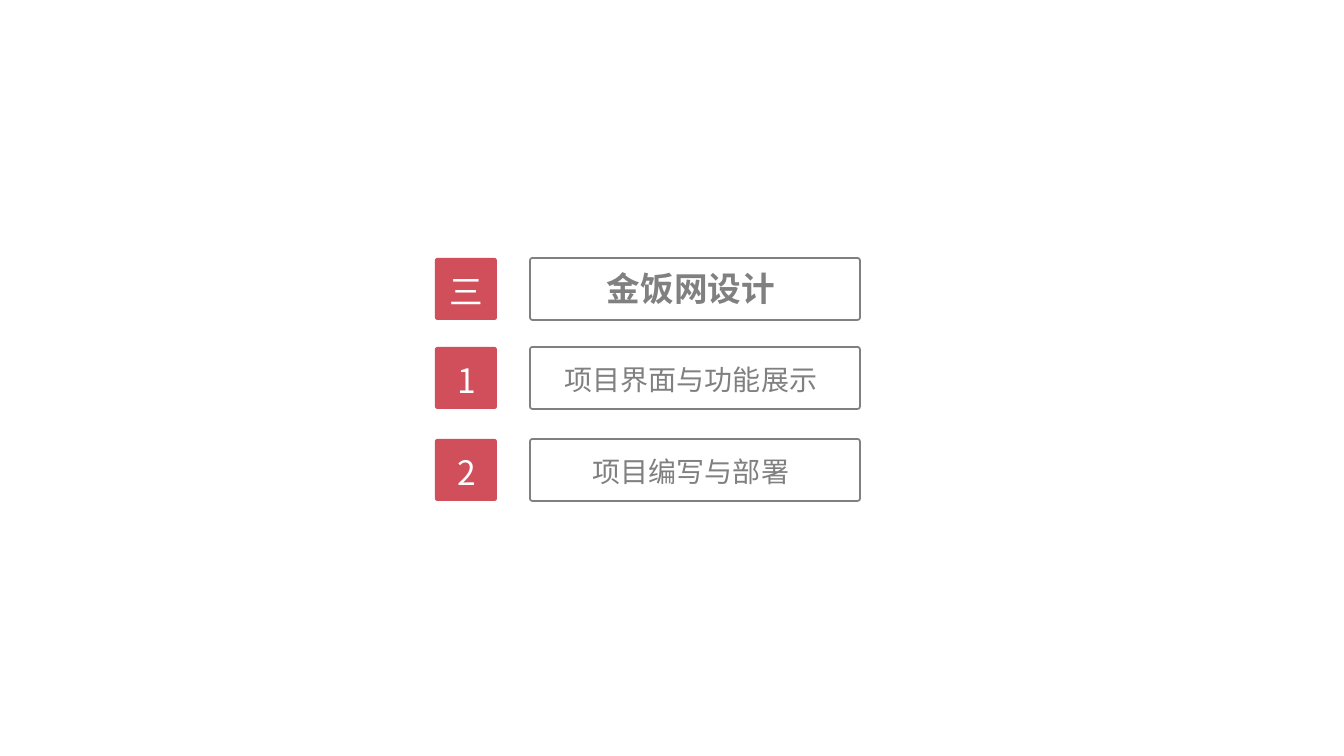
from lxml import etree
from pptx import Presentation, util as u
from pptx.dml.color import RGBColor
from pptx.enum import shapes, text
from pptx.oxml import ns

PX = 914400 / 100.8
RED, GREY, WHITE = "D14E5B", "808080", "FFFFFF"
SC, JP = "Noto Sans CJK SC", "Noto Sans CJK JP"
BADGE_X, BADGE_W, LABEL_X, LABEL_W, ROW_H = 435, 62, 530, 330, 62


def px(n):
    """Turn pixels into EMU."""
    return u.Emu(round(n * PX))


def color(value):
    """Turn a hex string into a colour."""
    return RGBColor.from_string(value)


def add_box(s, x, y, w, h, fill, line=None):
    """Draw a slightly rounded box."""
    sp = s.shapes.add_shape(shapes.MSO_SHAPE.ROUNDED_RECTANGLE, px(x), px(y), px(w), px(h))
    sp.adjustments[0] = 0.04
    sp.shadow.inherit = False
    sp.fill.solid()
    sp.fill.fore_color.rgb = color(fill)
    if line:
        sp.line.color.rgb = color(line)
        sp.line.width = u.Pt(1.25)
    else:
        sp.line.fill.background()


def add_text(s, content, x, y, w, h, *, size, font, fill, bold=False):
    """Place one centred line of text."""
    tf = s.shapes.add_textbox(px(x), px(y), px(w), px(h)).text_frame
    tf.word_wrap = False
    tf.auto_size = text.MSO_AUTO_SIZE.SHAPE_TO_FIT_TEXT
    p = tf.paragraphs[0]
    p.alignment = text.PP_ALIGN.CENTER
    r = p.add_run()
    r.text = content
    r.font.size = u.Pt(size)
    r.font.bold = bold
    r.font.color.rgb = color(fill)
    r.font.name = font
    etree.SubElement(r.font._element, ns.qn("a:ea"), typeface=font)


def add_badge(s, mark, x, y, w, h):
    """Draw the red square with its number."""
    add_box(s, x, y, w, h, RED)
    text_w = 54 if mark == "三" else 37
    add_text(s, mark, x + (w - text_w) / 2, y + 8, text_w, 50, size=24, font=JP, fill=WHITE)


def add_label(s, content, x, y, w, h, heading):
    """Draw the outlined box with its title."""
    add_box(s, x, y, w, h, WHITE, GREY)
    size, top, text_h = (24, 5, 50) if heading else (20, 11, 44)
    text_w = round(len(content) * size * 1.4) + 24
    add_text(s, content, x + (w - text_w) / 2 - 4, y + top, text_w, text_h,
             size=size, font=SC, fill=GREY, bold=heading)


def build_agenda(s):
    """Lay out the section heading and its two topics."""
    rows = [
        (258, "三", "金饭网设计"),
        (347, "1", "项目界面与功能展示"),
        (439, "2", "项目编写与部署"),
    ]
    for i, (y, mark, title) in enumerate(rows):
        add_label(s, title, LABEL_X, y, LABEL_W, ROW_H, heading=i == 0)
        add_badge(s, mark, BADGE_X, y, BADGE_W, ROW_H)


def main():
    """Build and save the slide."""
    prs = Presentation()
    prs.slide_width, prs.slide_height = px(1344), px(756)
    build_agenda(prs.slides.add_slide(prs.slide_layouts[6]))
    prs.save("out.pptx")


if __name__ == "__main__":
    main()
